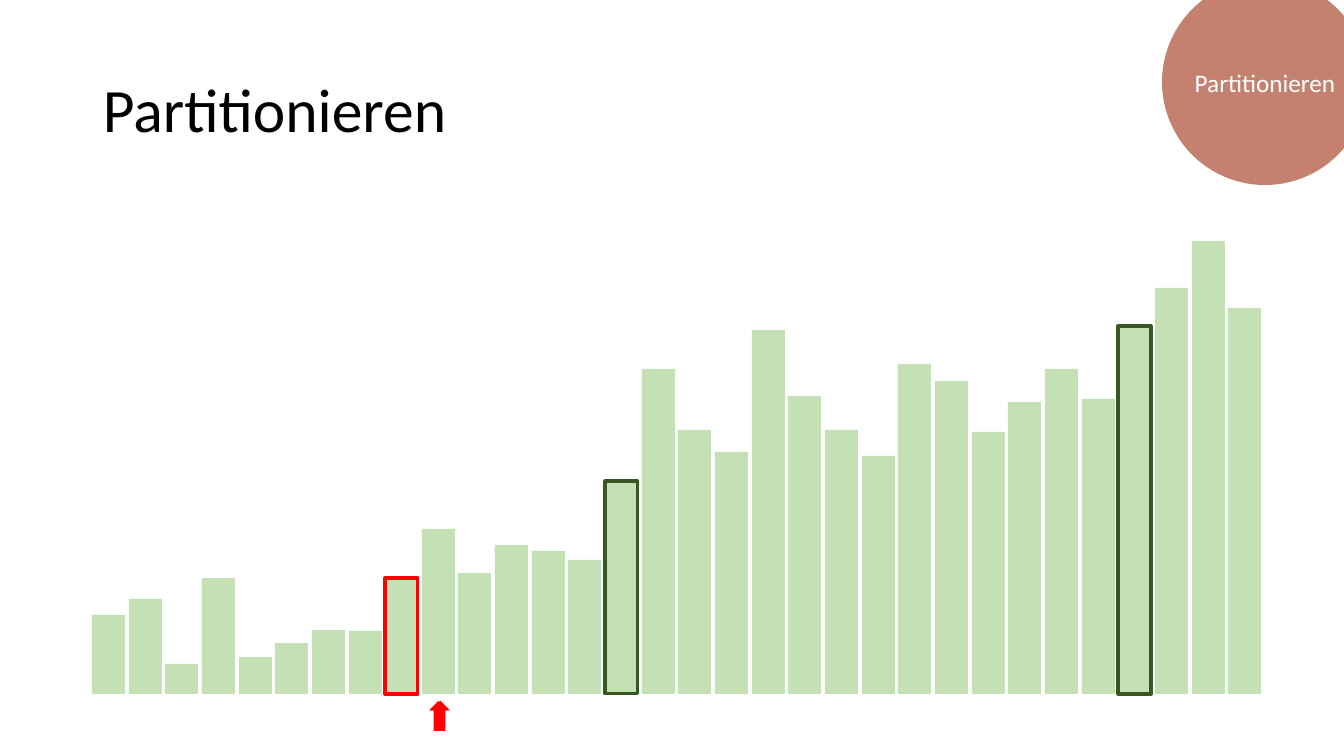
import dataclasses

import pptx
import pptx.dml.color
import pptx.enum.shapes
import pptx.enum.text
import pptx.util

SHAPE = pptx.enum.shapes.MSO_SHAPE
ALIGN = pptx.enum.text.PP_ALIGN
EMU_PER_PIXEL = 914400 / 100.8


@dataclasses.dataclass(frozen=True)
class Theme:
    font: str = "Calibri"
    title_size: int = 44
    badge_size: int = 18
    outline_width: float = 2.25
    text: str = "000000"
    badge_text: str = "FFFFFF"
    badge: str = "C48170"
    bar: str = "C5E0B4"
    pivot: str = "385723"
    marker: str = "FF0000"


THEME = Theme()

# Bar heights from left to right
BAR_HEIGHTS = [
    79, 95, 30, 116, 37, 51, 64, 63, 116, 165, 121, 149, 143, 134, 213, 325,
    264, 242, 364, 298, 264, 238, 330, 313, 262, 292, 325, 295, 368, 406, 453, 386,
]
BAR_OUTLINES = {8: THEME.marker, 14: THEME.pivot, 28: THEME.pivot}
BAR_LEFT, BAR_BASE = 92, 694
BAR_WIDTH, BAR_STEP = 33, 36.65


def px(pixels):
    return pptx.util.Emu(round(pixels * EMU_PER_PIXEL))


def color(code):
    return pptx.dml.color.RGBColor.from_string(code)


def add_figure(page, kind, left, top, width, height, fill, outline=None):
    figure = page.shapes.add_shape(kind, px(left), px(top), px(width), px(height))
    figure.shadow.inherit = False
    figure.fill.solid()
    figure.fill.fore_color.rgb = color(fill)
    if outline:
        figure.line.color.rgb = color(outline)
        figure.line.width = pptx.util.Pt(THEME.outline_width)
    else:
        figure.line.fill.background()
    return figure


def write_text(box, text, size, text_color, align):
    frame = box.text_frame
    frame.word_wrap = True
    frame.vertical_anchor = pptx.enum.text.MSO_ANCHOR.MIDDLE
    frame.text = text
    para = frame.paragraphs[0]
    para.alignment = align
    span = para.runs[0]
    span.font.name = THEME.font
    span.font.size = pptx.util.Pt(size)
    span.font.color.rgb = color(text_color)
    return para


def add_title(page, text):
    box = page.shapes.add_textbox(px(93), px(40), px(1159), px(146))
    para = write_text(box, text, THEME.title_size, THEME.text, ALIGN.LEFT)
    para.line_spacing = 0.9


def add_badge(page, text):
    badge = add_figure(page, SHAPE.OVAL, 1162, -21, 206, 206, THEME.badge)
    badge.text_frame.margin_left = badge.text_frame.margin_right = 0
    write_text(badge, text, THEME.badge_size, THEME.badge_text, ALIGN.CENTER)


def add_bars(page):
    for index, height in enumerate(BAR_HEIGHTS):
        left = BAR_LEFT + round(index * BAR_STEP)
        add_figure(page, SHAPE.RECTANGLE, left, BAR_BASE - height,
                   BAR_WIDTH, height, THEME.bar, BAR_OUTLINES.get(index))


def add_markers(page):
    for left in (429, 431):
        add_figure(page, SHAPE.UP_ARROW, left, 701, 19, 30, THEME.marker)


def main():
    deck = pptx.Presentation()
    deck.slide_width, deck.slide_height = px(1344), px(756)
    page = deck.slides.add_slide(deck.slide_layouts[6])

    # Heading and step badge
    add_title(page, "Partitionieren")
    add_badge(page, "Partitionieren")

    # Values being partitioned, with both index markers below
    add_bars(page)
    add_markers(page)

    deck.save("out.pptx")


main()
